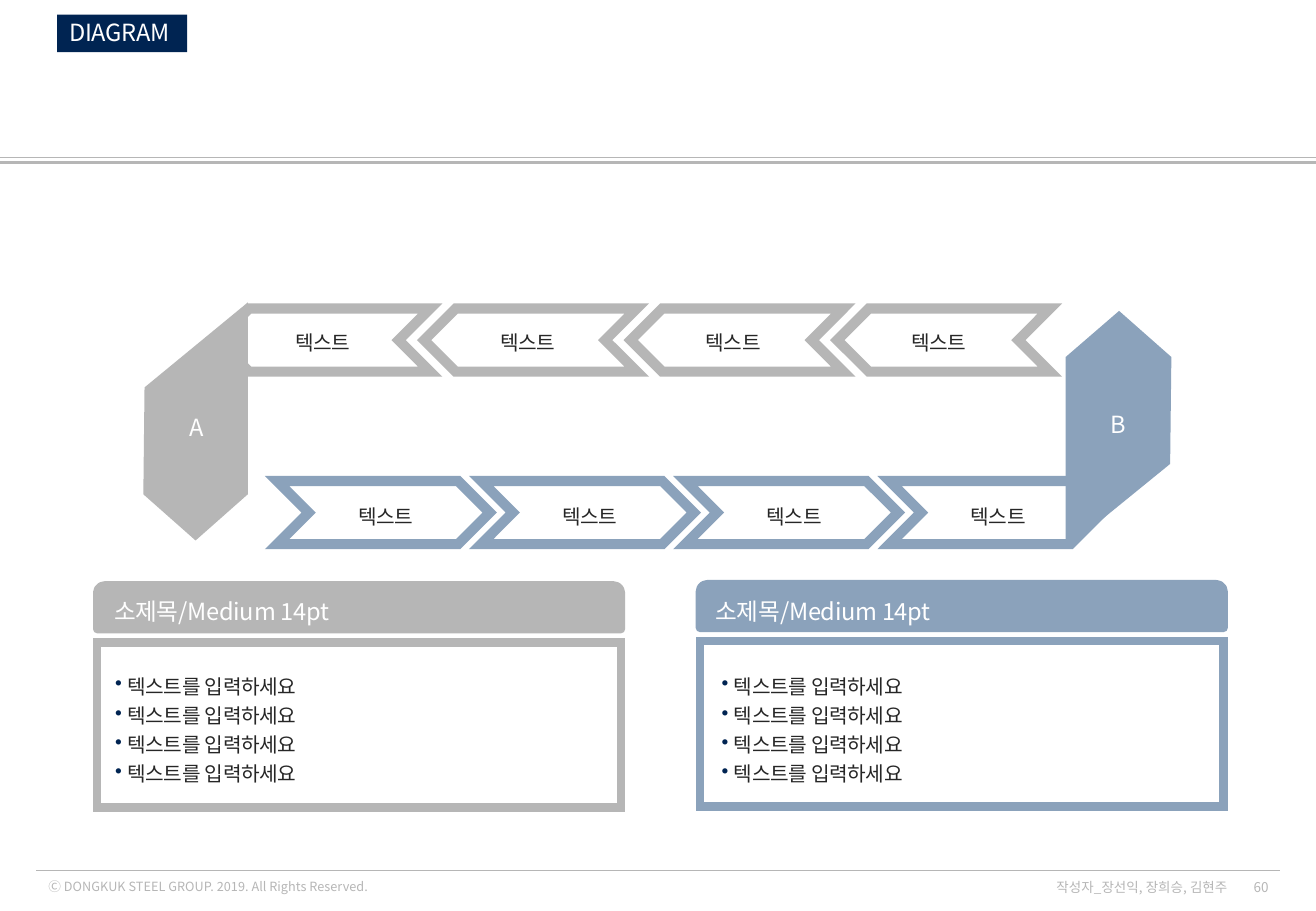
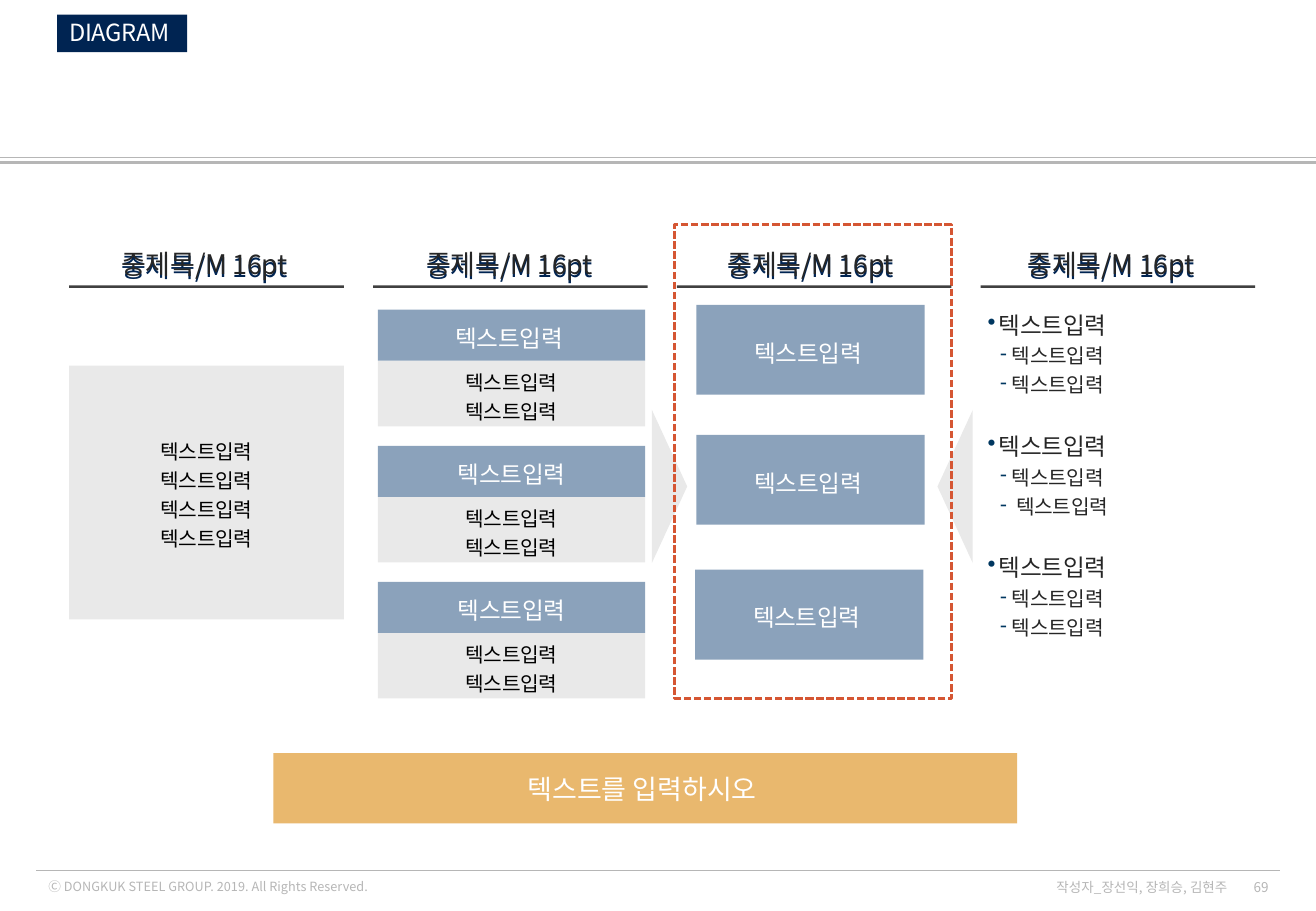
import pptx
import pptx.dml.color
import pptx.enum.dml
import pptx.enum.shapes
import pptx.enum.text
import pptx.oxml.ns
import pptx.util
from lxml import etree

SHAPE = pptx.enum.shapes.MSO_SHAPE
ALIGN = pptx.enum.text.PP_ALIGN
ANCHOR = pptx.enum.text.MSO_ANCHOR
FIT = pptx.enum.text.MSO_AUTO_SIZE
inch = pptx.util.Inches

# Theme
THEME = {
    "font": "Noto Sans CJK KR",
    "navy": "002452", "bullet": "003760", "blue": "8BA2BB", "gray": "B6B6B6",
    "pale": "E9E9E9", "gold": "E9B86E", "red": "D55633", "rule": "404040",
    "ink": "262626", "black": "000000", "white": "FFFFFF",
    "heading": 16, "label": 14, "body": 12, "footer": 8, "copyright": 7.5,
}
WIDTH, HEIGHT = 10.83, 7.5

# Content shared by the slides
TITLE = "DIAGRAM"
COPYRIGHT = "Ⓒ DONGKUK STEEL GROUP. 2019. All Rights Reserved."
AUTHORS = "작성자_장선익, 장희승, 김현주"

# Content of the loop slide: first chevron, chevron step, first label, rotation
CHAINS = [
    {"color": "gray", "left": 1.79, "step": 1.7, "top": 2.54, "turn": 180,
     "label_left": 2.05, "label_step": 1.69, "label_top": 2.63},
    {"color": "blue", "left": 2.28, "step": 1.68, "top": 3.96, "turn": 0,
     "label_left": 2.57, "label_step": 1.68, "label_top": 4.06},
]
CHAIN_LABELS = ["텍스트"] * 4
ENDS = [
    ("A", "gray", (1.3, 3.3), [(2.04, 2.49), (2.04, 4.07), (1.61, 4.45),
                               (1.18, 4.07), (1.19, 3.19)]),
    ("B", "blue", (8.89, 3.28), [(8.77, 4.52), (8.77, 2.94), (9.21, 2.56),
                                 (9.64, 2.94), (9.63, 3.82)]),
]
PANELS = [("gray", 0.8, 4.82, 0.84, 0.85), ("blue", 5.76, 4.81, 5.79, 5.84)]
PANEL_TITLE = "소제목/Medium 14pt"
PANEL_ITEMS = ["텍스트를 입력하세요"] * 4

# Content of the column slide
COLUMN_TITLE = "중제목/M 16pt"
HEADING_LEFTS = [0.57, 3.08, 5.56, 8.03]
SUMMARY = ["텍스트입력"] * 4
CARDS = [(name, ["텍스트입력"] * 2)
         for name in ("텍스트입력 ", "텍스트입력", "텍스트입력")]
KEY_BOXES = [(5.73, 2.51), (5.73, 3.58), (5.72, 4.69)]
KEY_TEXT = "텍스트입력 "
OUTLINE = [
    ("텍스트입력", ["텍스트입력", "텍스트입력"]),
    ("텍스트입력", ["텍스트입력", " 텍스트입력"]),
    ("텍스트입력", ["텍스트입력", "텍스트입력"]),
]
CONCLUSION = "텍스트를 입력하시오 "


def rgb(name):
    return pptx.dml.color.RGBColor.from_string(THEME[name])


def child(parent, tag, **attributes):
    return etree.SubElement(parent, pptx.oxml.ns.qn(tag), attributes)


# Text
def style_para(para, size, color, align=ALIGN.LEFT, spacing=None, tight=True):
    para.alignment = align
    if spacing:
        para.line_spacing = spacing
    for span in para.runs:
        span.font.name = THEME["font"]
        span.font.size = pptx.util.Pt(THEME[size])
        span.font.bold = False
        span.font.color.rgb = rgb(color)
        props = span.font._element
        child(props, "a:ea", typeface=THEME["font"])
        if tight:
            props.set("spc", "-20")


def add_bullet(para, mark, color, indent, hang):
    props = para._p.get_or_add_pPr()
    props.set("marL", str(inch(indent)))
    props.set("indent", str(-inch(hang)))
    child(child(props, "a:buClr"), "a:srgbClr", val=THEME[color])
    child(props, "a:buChar", char=mark)


def write(box, lines, size, color, anchor=ANCHOR.TOP, inset=(0.1, 0.05), **style):
    frame = box.text_frame
    frame.text = "\n".join(lines)
    frame.word_wrap = True
    frame.vertical_anchor = anchor
    frame.margin_left = frame.margin_right = inch(inset[0])
    frame.margin_top = frame.margin_bottom = inch(inset[1])
    for para in frame.paragraphs:
        style_para(para, size, color, **style)


def add_text(page, at, lines, size, color, grow=True, **style):
    box = page.shapes.add_textbox(*map(inch, at))
    write(box, lines, size, color, **style)
    box.text_frame.auto_size = FIT.SHAPE_TO_FIT_TEXT if grow else FIT.NONE
    return box


# Shapes
def paint(shape, fill=None, line=None, weight=1, sharp=False):
    shape.shadow.inherit = False
    if fill:
        shape.fill.solid()
        shape.fill.fore_color.rgb = rgb(fill)
    else:
        shape.fill.background()
    if line:
        shape.line.color.rgb = rgb(line)
        shape.line.width = pptx.util.Pt(weight)
        if sharp:
            child(shape.line._get_or_add_ln(), "a:miter", lim="800000")
    else:
        shape.line.fill.background()
    return shape


def add_shape(page, kind, at, turn=0, **look):
    shape = page.shapes.add_shape(kind, *map(inch, at))
    shape.rotation = turn
    return paint(shape, **look)


def add_rule(page, left, right, top, weight):
    rule = page.shapes.add_connector(
        pptx.enum.shapes.MSO_CONNECTOR.STRAIGHT,
        inch(left), inch(top), inch(right), inch(top))
    rule.line.color.rgb = rgb("gray")
    rule.line.width = pptx.util.Pt(weight)
    child(rule._element.spPr, "a:effectLst")


# Frame of every slide
def add_page(deck, number):
    page = deck.slides.add_slide(deck.slide_layouts[5])
    add_rule(page, 0, WIDTH, 1.34, 1.5)
    add_rule(page, 0, WIDTH, 1.3, 0.5)
    add_rule(page, 0.3, 10.53, 7.17, 0.5)

    title = page.shapes.title
    title.left, title.top, title.width, title.height = map(
        inch, (0.47, 0.12, 1.07, 0.31))
    title.fill.solid()
    title.fill.fore_color.rgb = rgb("navy")
    write(title, [TITLE], "label", "white", anchor=ANCHOR.MIDDLE, spacing=0.9)
    title.text_frame.auto_size = FIT.NONE

    add_text(page, (0.3, 7.18, 3.47, 0.23), [COPYRIGHT], "copyright", "gray",
             anchor=ANCHOR.MIDDLE, tight=False)
    for left, width, words in ((10.13, 0.41, str(number)), (8.52, 1.68, AUTHORS)):
        add_text(page, (left, 7.22, width, 0.16), [words], "footer", "gray",
                 grow=False, anchor=ANCHOR.MIDDLE, align=ALIGN.RIGHT, tight=False)
    return page


def build_loop(page):
    # Chevron chains
    for chain in CHAINS:
        slots = list(range(len(CHAIN_LABELS)))
        if chain["turn"]:
            slots.reverse()
        for slot in slots:
            left = chain["left"] + slot * chain["step"]
            add_shape(page, SHAPE.CHEVRON, (left, chain["top"], 1.75, 0.52),
                      chain["turn"], fill="white", line=chain["color"],
                      weight=6, sharp=True)

    # End pieces
    for name, color, (left, top), points in ENDS:
        outline = page.shapes.build_freeform(
            *map(inch, points[0]), scale=1.0)
        outline.add_line_segments(
            [(inch(x), inch(y)) for x, y in points[1:]], close=True)
        paint(outline.convert_to_shape(), fill=color)
        add_text(page, (left, top, 0.63, 0.38), [name], "label", "white",
                 align=ALIGN.CENTER, spacing=1.2)

    # Chevron labels
    for chain in CHAINS:
        for slot, label in enumerate(CHAIN_LABELS):
            left = chain["label_left"] + slot * chain["label_step"]
            add_text(page, (left, chain["label_top"], 1.21, 0.33), [label],
                     "body", "ink", align=ALIGN.CENTER, spacing=1.2)

    # Panels
    for color, left, top, title_left, list_left in PANELS:
        add_shape(page, SHAPE.RECTANGLE, (left, top + 0.47, 4.31, 1.36),
                  fill="white", line=color, weight=5, sharp=True)
        add_shape(page, SHAPE.ROUND_2_SAME_RECTANGLE, (left, top, 4.31, 0.36),
                  fill=color, line=color, weight=5)
        add_text(page, (title_left, 4.82, 3.29, 0.36), [PANEL_TITLE],
                 "label", "white", spacing=1.2)
        box = add_text(page, (list_left, 5.46, 4.08, 1.07), PANEL_ITEMS,
                       "body", "ink", spacing=1.2)
        for para in box.text_frame.paragraphs:
            add_bullet(para, "•", "navy", 0.1, 0.1)


def add_heading(page, left):
    box = add_text(page, (left, 1.98, 2.23, 0.37), [COLUMN_TITLE], "heading",
                   "ink", anchor=ANCHOR.BOTTOM, align=ALIGN.CENTER)
    effects = child(box._element.spPr, "a:effectLst")
    shadow = child(effects, "a:outerShdw", dist="25400", dir="5400000")
    child(shadow, "a:srgbClr", val=THEME["navy"])


def add_outline(page):
    rows = [(words, level) for head, items in OUTLINE
            for words, level in [(head, 0)] + [(item, 1) for item in items]]
    box = add_text(page, (8.03, 2.41, 2.23, 3.94), [words for words, _ in rows],
                   "body", "ink", grow=False, inset=(0.1, 0.1))
    for place, (para, (_, level)) in enumerate(zip(box.text_frame.paragraphs, rows)):
        if level:
            add_bullet(para, "‐", "bullet", 0.2, 0.1)
        else:
            add_bullet(para, "•", "bullet", 0.09, 0.09)
            para.runs[0].font.size = pptx.util.Pt(THEME["label"])
            if place:
                para.space_before = pptx.util.Pt(17.2)
        para.line_spacing = 1.2


def build_columns(page):
    centred = {"align": ALIGN.CENTER, "spacing": 1.2}
    middle = dict(centred, anchor=ANCHOR.MIDDLE)

    # Side arrows, headings and outline
    for left, turn in ((7.23, 270), (4.88, 90)):
        add_shape(page, SHAPE.ISOSCELES_TRIANGLE, (left, 3.86, 1.26, 0.29),
                  turn, fill="pale")
    for left in HEADING_LEFTS:
        add_heading(page, left)
    add_outline(page)

    # Summary, cards and key boxes
    summary = add_shape(page, SHAPE.RECTANGLE, (0.57, 3.01, 2.26, 2.09), fill="pale")
    write(summary, SUMMARY, "body", "black", **middle)
    for row, (name, items) in enumerate(CARDS):
        top = 2.55 + row * 1.12
        body = add_shape(page, SHAPE.RECTANGLE, (3.11, top + 0.42, 2.2, 0.54), fill="pale")
        write(body, items, "body", "black", inset=(0, 0.04), **centred)
        head = add_shape(page, SHAPE.RECTANGLE, (3.11, top, 2.2, 0.42), fill="blue")
        write(head, [name], "label", "white", **middle)
    for left, top in KEY_BOXES:
        box = add_shape(page, SHAPE.RECTANGLE, (left, top, 1.88, 0.74), fill="blue")
        write(box, [KEY_TEXT], "label", "white", **middle)

    # Dashed focus frame, heading rules and conclusion
    focus = add_shape(page, SHAPE.RECTANGLE, (5.55, 1.85, 2.28, 3.9),
                      line="red", weight=1.5)
    focus.line.dash_style = pptx.enum.dml.MSO_LINE.SQUARE_DOT
    for column in range(len(HEADING_LEFTS)):
        add_shape(page, SHAPE.RECTANGLE, (0.57 + column * 2.5, 2.35, 2.26, 0.02),
                  fill="rule")
    banner = add_shape(page, SHAPE.RECTANGLE, (2.25, 6.2, 6.12, 0.58), fill="gold")
    write(banner, [CONCLUSION], "heading", "white", anchor=ANCHOR.MIDDLE,
          align=ALIGN.CENTER, tight=False)


def main():
    deck = pptx.Presentation()
    deck.slide_width, deck.slide_height = inch(WIDTH), inch(HEIGHT)
    build_loop(add_page(deck, 60))
    build_columns(add_page(deck, 69))
    deck.save("out.pptx")


if __name__ == "__main__":
    main()
